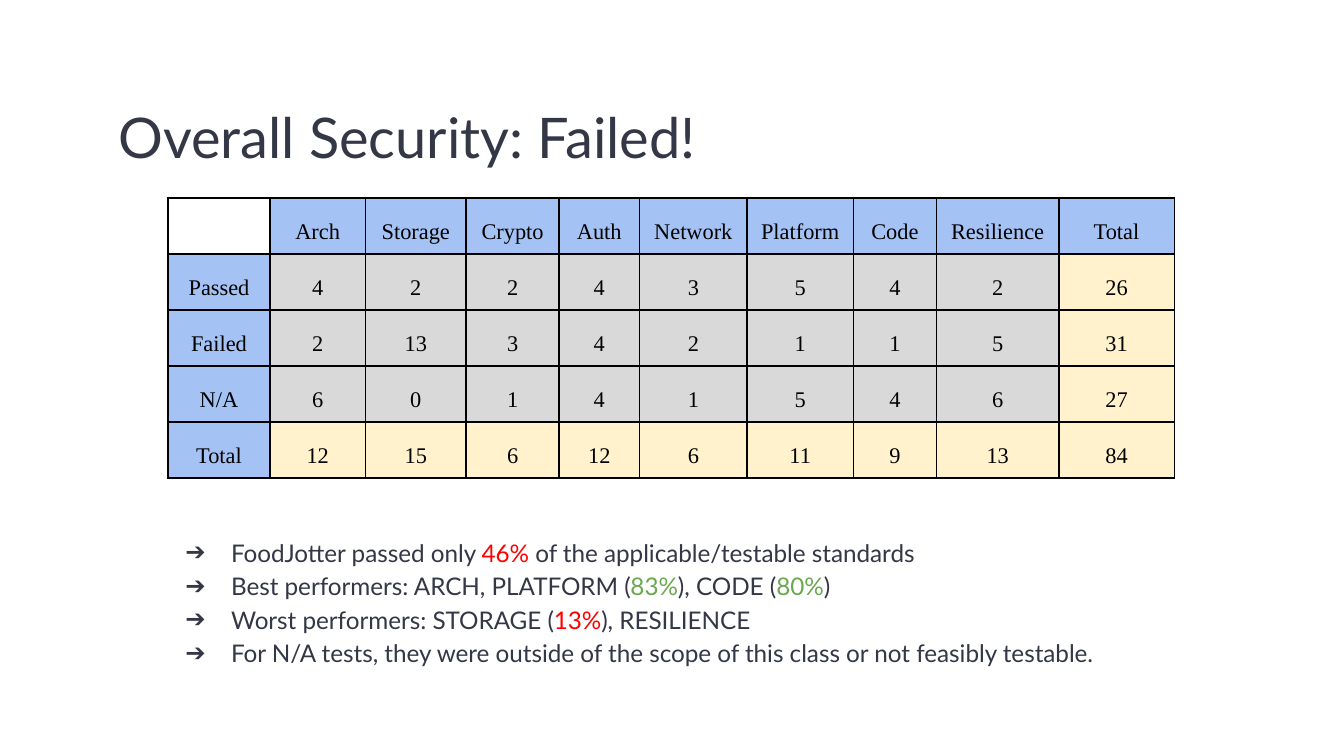
from lxml.etree import SubElement
from pptx import Presentation
from pptx.dml.color import RGBColor
from pptx.enum.text import MSO_ANCHOR as Anchor, MSO_AUTO_SIZE as AutoSize, PP_ALIGN as Align
from pptx.oxml import parse_xml
from pptx.oxml.ns import nsdecls, qn
from pptx.util import Pt

INK = RGBColor(0x33, 0x37, 0x46)
BLACK = RGBColor(0x00, 0x00, 0x00)
RED = RGBColor(0xFF, 0x00, 0x00)
GREEN = RGBColor(0x6A, 0xA8, 0x4F)
HEADER_BLUE = RGBColor(0xA4, 0xC2, 0xF4)
COUNT_GRAY = RGBColor(0xD9, 0xD9, 0xD9)
TOTAL_CREAM = RGBColor(0xFF, 0xF2, 0xCC)

TITLE_BOX = (56.2, 42.5, 607.7, 55.4)
TABLE_BOX = (90, 106, 539.3, 150)
FINDINGS_BOX = (80.6, 278.6, 568.1, 85.7)

COLUMN_WIDTHS = [54.7, 51.1, 54, 49.7, 43.2, 57.6, 56.9, 44.6, 65.5, 61.9]
RESULTS = [
    ["", "Arch", "Storage", "Crypto", "Auth", "Network", "Platform", "Code", "Resilience", "Total"],
    ["Passed", 4, 2, 2, 4, 3, 5, 4, 2, 26],
    ["Failed", 2, 13, 3, 4, 2, 1, 1, 5, 31],
    ["N/A", 6, 0, 1, 4, 1, 5, 4, 6, 27],
    ["Total", 12, 15, 6, 12, 6, 11, 9, 13, 84],
]
FINDINGS = [
    [("FoodJotter passed only ", INK), ("46% ", RED),
     ("of the applicable/testable standards", INK)],
    [("Best performers: ARCH, PLATFORM (", INK), ("83%", GREEN), ("), CODE (", INK),
     ("80%", GREEN), (")", INK)],
    [("Worst performers: STORAGE (", INK), ("13%", RED), ("), RESILIENCE", INK)],
    [("For N/A tests, they were outside of the scope of this class"
      " or not feasibly testable.", INK)],
]


def place_placeholder(holder, box):
    """Move a placeholder to its box and return its top-anchored text frame."""
    holder.left, holder.top, holder.width, holder.height = map(Pt, box)
    frame = holder.text_frame
    frame.word_wrap = True
    frame.auto_size = AutoSize.NONE
    frame.vertical_anchor = Anchor.TOP
    frame.margin_left = frame.margin_right = Pt(7.2)
    frame.margin_top = frame.margin_bottom = Pt(7.2)
    return frame


def format_paragraph(para, align, spacing, font_name, size):
    """Set alignment, line spacing and font of a paragraph."""
    para.alignment = align
    para.line_spacing = spacing
    para.space_before = Pt(0)
    para.font.name = font_name
    para.font.size = Pt(size)


def add_arrow_bullet(para):
    """Give a paragraph a hanging arrow bullet."""
    properties = para._p.get_or_add_pPr()
    properties.set("marL", str(Pt(36)))
    properties.set("indent", str(-Pt(24.5)))
    color = SubElement(properties, qn("a:buClr"))
    SubElement(color, qn("a:srgbClr"), val=str(INK))
    SubElement(properties, qn("a:buChar"), char="➔")


def add_title(page, box):
    """Fill the title placeholder."""
    para = place_placeholder(page.shapes.title, box).paragraphs[0]
    para.text = "Overall Security: Failed!"
    format_paragraph(para, Align.LEFT, 1.15, "Lato", 30)
    para.font.color.rgb = INK


def add_findings(page, box):
    """Fill the body placeholder with the bulleted findings."""
    frame = place_placeholder(page.placeholders[1], box)
    for index, finding in enumerate(FINDINGS):
        para = frame.add_paragraph() if index else frame.paragraphs[0]
        add_arrow_bullet(para)
        format_paragraph(para, Align.LEFT, 1.15, "Lato", 13)
        for text, color in finding:
            span = para.add_run()
            span.text = text
            span.font.color.rgb = color


def add_borders(cell):
    """Draw a one-point black line on every side of a cell."""
    properties = cell._tc.get_or_add_tcPr()
    for position, side in enumerate(("lnL", "lnR", "lnT", "lnB")):
        properties.insert(position, parse_xml(
            f'<a:{side} {nsdecls("a")} w="{Pt(1)}"><a:solidFill>'
            f'<a:srgbClr val="{BLACK}"/></a:solidFill></a:{side}>'))


def fill_cell(cell, row, column):
    """Colour a cell by its role in the table."""
    if row == column == 0:
        cell.fill.background()
        return
    cell.fill.solid()
    if row == 0 or column == 0:
        cell.fill.fore_color.rgb = HEADER_BLUE
    elif row == len(RESULTS) - 1 or column == len(COLUMN_WIDTHS) - 1:
        cell.fill.fore_color.rgb = TOTAL_CREAM
    else:
        cell.fill.fore_color.rgb = COUNT_GRAY


def add_results(page, box):
    """Add the table of test results by category."""
    table = page.shapes.add_table(len(RESULTS), len(COLUMN_WIDTHS), *map(Pt, box)).table
    table.first_row = table.horz_banding = False
    for column, width in zip(table.columns, COLUMN_WIDTHS):
        column.width = Pt(width)
    for row, values in enumerate(RESULTS):
        table.rows[row].height = Pt(box[3] / len(RESULTS))
        for column, value in enumerate(values):
            cell = table.cell(row, column)
            cell.margin_left = cell.margin_right = Pt(5)
            cell.margin_top = cell.margin_bottom = Pt(5)
            para = cell.text_frame.paragraphs[0]
            para.text = str(value)
            format_paragraph(para, Align.CENTER, 1.5, "Times New Roman", 12)
            para.font.color.rgb = BLACK
            fill_cell(cell, row, column)
            add_borders(cell)


def main():
    """Build and save the one-slide deck."""
    deck = Presentation()
    deck.slide_width, deck.slide_height = Pt(720), Pt(405)
    page = deck.slides.add_slide(deck.slide_layouts[1])
    add_title(page, TITLE_BOX)
    add_findings(page, FINDINGS_BOX)
    add_results(page, TABLE_BOX)
    deck.save("out.pptx")


if __name__ == "__main__":
    main()
